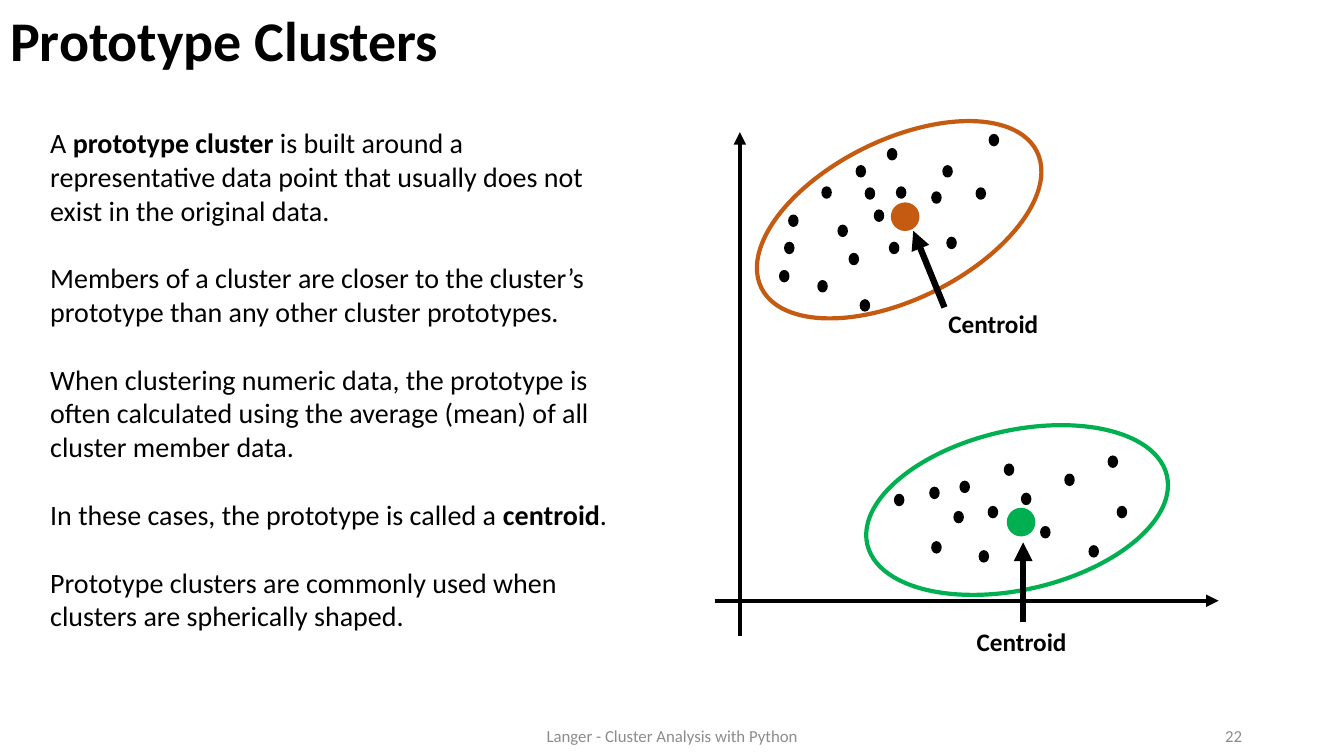
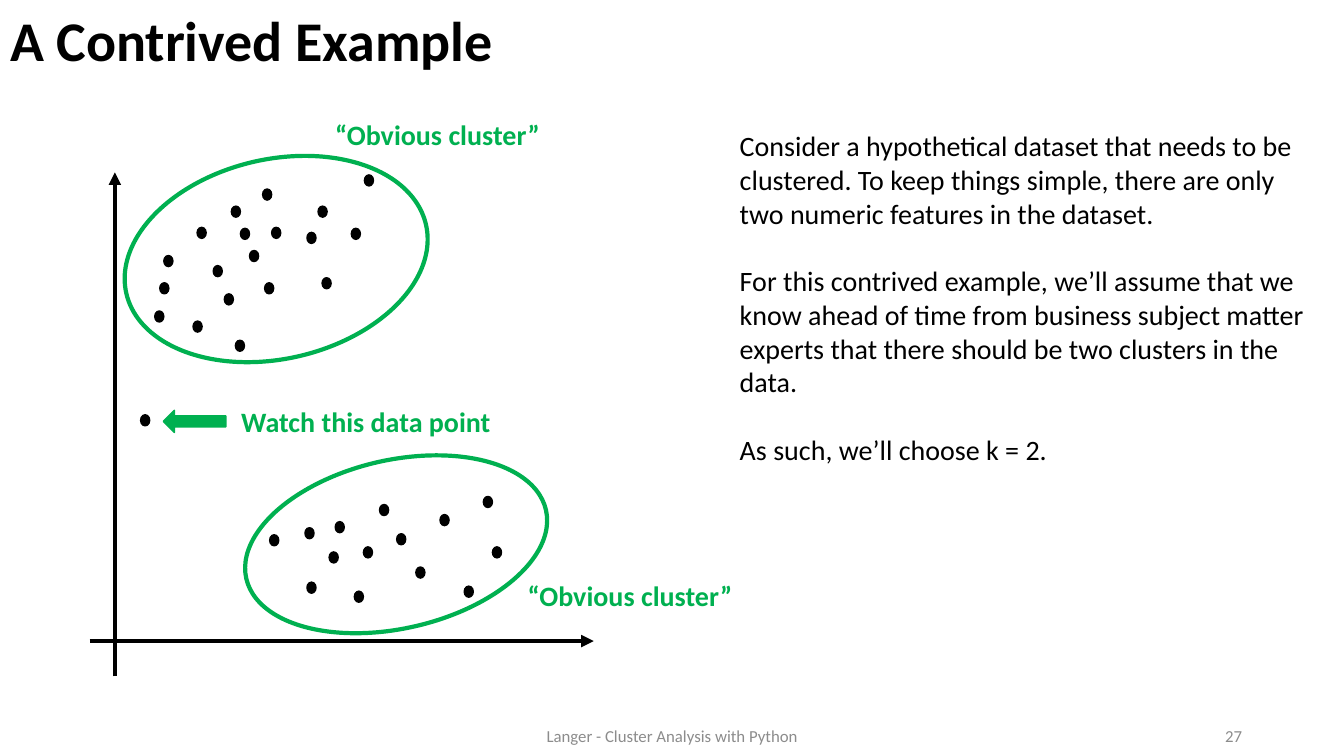
from dataclasses import dataclass

from lxml.etree import SubElement
from pptx import Presentation
from pptx.dml.color import RGBColor
from pptx.enum.shapes import MSO_CONNECTOR, MSO_SHAPE
from pptx.enum.text import MSO_ANCHOR, MSO_AUTO_SIZE, PP_ALIGN
from pptx.oxml.ns import qn
from pptx.util import Inches, Pt


@dataclass(frozen=True)
class Theme:
    font: str = "Calibri"
    black: RGBColor = RGBColor(0, 0, 0)
    grey: RGBColor = RGBColor(0x8C, 0x8C, 0x8C)
    green: RGBColor = RGBColor(0x00, 0xB0, 0x50)
    rust: RGBColor = RGBColor(0xC5, 0x5A, 0x11)
    title: float = 40
    body: float = 20
    label: float = 18
    foot: float = 12
    gap: float = 24.4


THEME = Theme()

# All lengths are in cells of a grid with ten cells to the inch.
WIDE, HIGH = 133.33, 75
FOOT = "Langer - Cluster Analysis with Python"
AXIS = 50
DOT = (0.9, 1.1)

# Data points as (right, up) from where the axes cross.
UPPER = [
    (16, 40.5), (11.3, 33.9), (19.5, 40), (25.2, 45.7), (15.3, 35),
    (8.2, 31.2), (5.3, 37.7), (13.8, 38.2), (20.6, 42.6), (8.6, 40.5),
    (15.1, 44.3), (12.9, 40.4), (12, 42.6), (4.4, 32.2), (12.4, 29.3),
    (23.9, 40.4), (4.9, 35), (10.2, 36.7), (21, 35.5),
]
LOWER = [
    (21.7, 8.3), (15.8, 10), (19.3, 10.7), (32.7, 12), (28.4, 10.1),
    (22.3, 11.3), (19.5, 5.3), (26.7, 13), (25.1, 8.8), (24.2, 4.4),
    (37, 13.8), (35.1, 4.9), (30.3, 6.8), (37.9, 8.8),
]
WATCH = (3, 21.9)


def cells(*counts):
    return [Inches(count / 10) for count in counts]


def write(par, text, size, color=THEME.black, bold=False):
    run = par.add_run()
    run.text = text
    font = run.font
    font.name, font.size, font.bold = THEME.font, Pt(size), bold
    font.color.rgb = color


def add_box(slide, box, anchor=MSO_ANCHOR.TOP):
    frame = slide.shapes.add_textbox(*cells(*box)).text_frame
    frame.word_wrap = True
    frame.vertical_anchor = anchor
    return frame


def add_label(slide, box, text, size, color=THEME.black, bold=True,
              align=PP_ALIGN.LEFT, anchor=MSO_ANCHOR.TOP):
    par = add_box(slide, box, anchor).paragraphs[0]
    par.alignment = align
    write(par, text, size, color, bold)


def add_body(slide, box, pars):
    """Each paragraph is a list of runs; every second run is bold."""
    frame = add_box(slide, box)
    for row, runs in enumerate(pars):
        par = frame.add_paragraph() if row else frame.paragraphs[0]
        if row:
            par.space_before = Pt(THEME.gap)
        for turn, text in enumerate(runs):
            write(par, text, THEME.body, bold=turn % 2 == 1)


def add_slide(deck, title, number):
    slide = deck.slides.add_slide(deck.slide_layouts.get_by_name("Title Only"))
    head = slide.shapes.title
    head.left, head.top, head.width, head.height = cells(0, 0.2, 106.4, 8.3)
    frame = head.text_frame
    frame.auto_size = MSO_AUTO_SIZE.NONE
    frame.vertical_anchor = MSO_ANCHOR.MIDDLE
    par = frame.paragraphs[0]
    par.alignment, par.line_spacing = PP_ALIGN.LEFT, 0.9
    write(par, title, THEME.title, bold=True)
    for box, text, align in (
        ((44.2, 71, 45, 4), FOOT, PP_ALIGN.CENTER),
        ((94.2, 71, 30, 4), number, PP_ALIGN.RIGHT),
    ):
        add_label(slide, box, text, THEME.foot, THEME.grey, False,
                  align, MSO_ANCHOR.MIDDLE)
    return slide


@dataclass(frozen=True)
class Plot:
    """A scatter plot whose axes cross at column x, row y."""
    slide: object
    x: float
    y: float

    def arrow(self, start, end, width):
        (x1, up1), (x2, up2) = start, end
        ends = cells(self.x + x1, self.y - up1, self.x + x2, self.y - up2)
        line = self.slide.shapes.add_connector(MSO_CONNECTOR.STRAIGHT, *ends)
        line.line.color.rgb, line.line.width = THEME.black, Pt(width)
        SubElement(line.line._get_or_add_ln(), qn("a:tailEnd"), type="triangle")
        SubElement(line._element.spPr, qn("a:effectLst"))

    def mark(self, spot, size, color, kind=MSO_SHAPE.OVAL, ring=False):
        """Centre a shape on a spot, filled unless it is a tilted ring."""
        (right, up), (wide, high) = spot, size
        box = cells(self.x + right - wide / 2, self.y - up - high / 2, wide, high)
        shape = self.slide.shapes.add_shape(kind, *box)
        shape.shadow.inherit = False
        shape.line.color.rgb, shape.line.width = color, Pt(3 if ring else 1)
        if ring:
            shape.fill.background()
        else:
            shape.fill.solid()
            shape.fill.fore_color.rgb = color
        return shape

    def ring(self, spot, high, color, tilt=-12.9):
        self.mark(spot, (30.5, high), color, ring=True).rotation = tilt

    def draw(self, spots):
        self.arrow((0, -3.5), (0, AXIS - 3.5), 3)
        self.arrow((-2.5, 0), (AXIS - 2.5, 0), 3)
        for spot in spots:
            self.mark(spot, DOT, THEME.black)


def add_types(deck):
    slide = add_slide(deck, "Prototype Clusters", "22")
    add_body(slide, (4, 12, 57.6, 51.5), [
        ["A ", "prototype cluster", " is built around a representative data "
         "point that usually does not exist in the original data."],
        ["Members of a cluster are closer to the cluster’s prototype than any "
         "other cluster prototypes."],
        ["When clustering numeric data, the prototype is often calculated "
         "using the average (mean) of all cluster member data."],
        ["In these cases, the prototype is called a ", "centroid", "."],
        ["Prototype clusters are commonly used when clusters are spherically "
         "shaped."],
    ])
    plot = Plot(slide, 73.4, 59.6)
    plot.draw(UPPER + LOWER)
    for spot, color in (((16.4, 38.1), THEME.rust), ((27.9, 7.8), THEME.green)):
        plot.mark(spot, (2.7, 2.7), color)
    plot.ring((27.5, 9), 15.8, THEME.green)
    plot.ring((15.8, 37.8), 15.8, THEME.rust, -26.3)
    for left, top, start, end in (
        (93.1, 30.1, (20.3, 29.1), (17.2, 36.7)),
        (95.9, 61.6, (28.1, -2.1), (28.1, 5.8)),
    ):
        add_label(slide, (left, top, 15.7, 4), "Centroid", THEME.label)
        plot.arrow(start, end, 4.5)


def add_case(deck):
    slide = add_slide(deck, "A Contrived Example", "27")
    plot = Plot(slide, 11.4, 63.6)
    plot.draw(UPPER + LOWER + [WATCH])
    plot.mark((7.9, 21.8), (6.2, 2.2), THEME.green, MSO_SHAPE.LEFT_ARROW)
    plot.ring((16, 37.9), 19.8, THEME.green)
    plot.ring((27.9, 9.6), 16.7, THEME.green)
    for left, top, text in (
        (22.1, 39.6, "Watch this data point"),
        (29.2, 11.2, "“Obvious cluster”"),
        (48.3, 56.9, "“Obvious cluster”"),
    ):
        add_label(slide, (left, top, 28.4, 4.4), text, THEME.body,
                  THEME.green, align=PP_ALIGN.CENTER)
    add_body(slide, (72.4, 12.3, 58.2, 34.7), [
        ["Consider a hypothetical dataset that needs to be clustered. To keep "
         "things simple, there are only two numeric features in the dataset."],
        ["For this contrived example, we’ll assume that we know ahead of time "
         "from business subject matter experts that there should be two "
         "clusters in the data."],
        ["As such, we’ll choose k = 2."],
    ])


def main():
    deck = Presentation()
    deck.slide_width, deck.slide_height = cells(WIDE, HIGH)
    add_types(deck)
    add_case(deck)
    deck.save("out.pptx")


if __name__ == "__main__":
    main()
